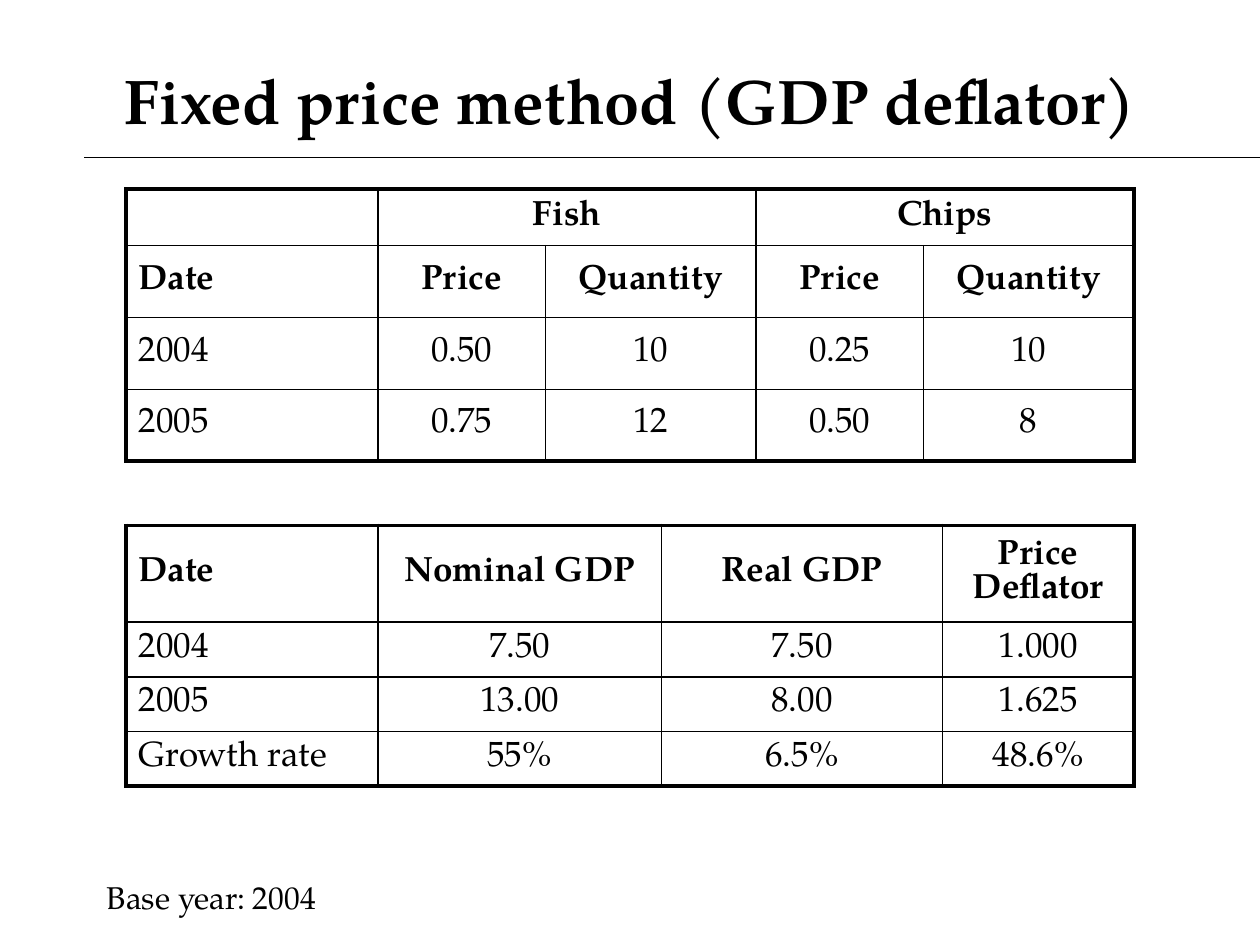
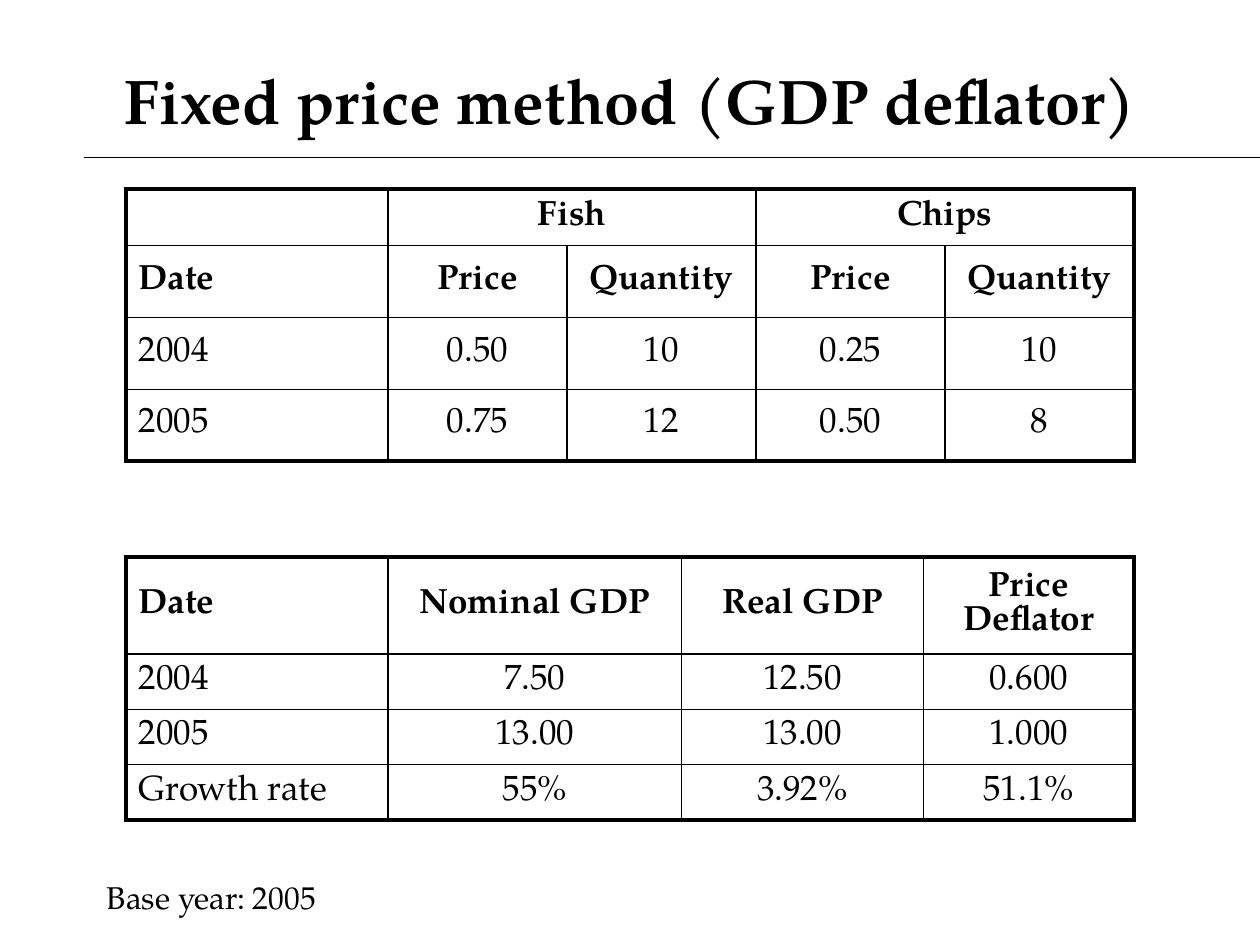
import pptx
import pptx.util
import pptx.dml.color
import pptx.enum.shapes
import pptx.enum.text
import pptx.oxml
import pptx.oxml.ns

Inches = pptx.util.Inches
Pt = pptx.util.Pt
ALIGN = pptx.enum.text.PP_ALIGN
MIDDLE = pptx.enum.text.MSO_ANCHOR.MIDDLE
FONT = "TeX Gyre Pagella"
INK = "000000"
THICK, THIN = 2.25, 1
TITLE = "Fixed price method (GDP deflator)"

GOODS = [
    ["", "Fish", "", "Chips", ""],
    ["Date", "Price", "Quantity", "Price", "Quantity"],
    ["2004", "0.50", "10", "0.25", "10"],
    ["2005", "0.75", "12", "0.50", "8"],
]
HEADS = ["Date", "Nominal GDP", "Real GDP", "Price Deflator"]

YEARS = [
    {
        "base": "Base year: 2004",
        "goods": [2, 1.33, 1.67, 1.33, 1.67],
        "top": 4.17,
        "cols": [2, 2.25, 2.23, 1.52],
        "rows": [0.64] + [0.38] * 3,
        "data": [
            HEADS,
            ["2004", "7.50", "7.50", "1.000"],
            ["2005", "13.00", "8.00", "1.625"],
            ["Growth rate", "55%", "6.5%", "48.6%"],
        ],
    },
    {
        "base": "Base year: 2005",
        "goods": [2.08, 1.42, 1.5, 1.5, 1.5],
        "top": 4.42,
        "cols": [2.08, 2.33, 1.92, 1.67],
        "rows": [0.77] + [0.44] * 3,
        "data": [
            HEADS,
            ["2004", "7.50", "12.50", "0.600"],
            ["2005", "13.00", "13.00", "1.000"],
            ["Growth rate", "55%", "3.92%", "51.1%"],
        ],
    },
]


def color(code):
    return pptx.dml.color.RGBColor.from_string(code)


def write(frame, text, size=20, bold=False, align=ALIGN.LEFT):
    frame.word_wrap = True
    para = frame.paragraphs[0]
    para.alignment = align
    run = para.add_run()
    run.text = text
    run.font.name = FONT
    run.font.size = Pt(size)
    run.font.bold = bold
    run.font.color.rgb = color(INK)


deck = pptx.Presentation()
deck.slide_width = Inches(10)
deck.slide_height = Inches(7.5)

for year in YEARS:
    slide = deck.slides.add_slide(deck.slide_layouts[6])
    shapes = slide.shapes

    rule = shapes.add_connector(
        pptx.enum.shapes.MSO_CONNECTOR.STRAIGHT,
        Inches(0.67), Inches(1.25), Inches(10), Inches(1.25))
    rule.line.color.rgb = color(INK)
    rule.line.width = Pt(0.75)
    rule._element.spPr.append(pptx.oxml.parse_xml(
        f'<a:effectLst {pptx.oxml.ns.nsdecls("a")}/>'))

    title = shapes.add_textbox(Inches(0.5), Inches(0.33), Inches(9), Inches(0.92))
    title.text_frame.vertical_anchor = MIDDLE
    write(title.text_frame, TITLE, size=36, bold=True, align=ALIGN.CENTER)

    tables = [
        (1.5, year["goods"], [0.45] + [0.57] * 3, GOODS, 2),
        (year["top"], year["cols"], year["rows"], year["data"], 1),
    ]
    for top, cols, rows, data, heads in tables:
        grid = shapes.add_table(
            len(rows), len(cols), Inches(1), Inches(top),
            Inches(sum(cols)), Inches(sum(rows))).table
        grid.first_row = False
        grid.horz_banding = False
        for i, width in enumerate(cols):
            grid.columns[i].width = Inches(width)
        for i, height in enumerate(rows):
            grid.rows[i].height = Inches(height)
        if data is GOODS:
            for start in (1, 3):
                grid.cell(0, start).merge(grid.cell(0, start + 1))

        for r, line in enumerate(data):
            for c, text in enumerate(line):
                cell = grid.cell(r, c)
                cell.vertical_anchor = MIDDLE
                if text:
                    write(cell.text_frame, text, bold=r < heads,
                          align=ALIGN.CENTER if c else ALIGN.LEFT)
                edges = {"L": c == 0, "R": c + cell.span_width == len(cols),
                         "T": r == 0, "B": r == len(rows) - 1}
                props = cell._tc.get_or_add_tcPr()
                for side, outer in edges.items():
                    width = Pt(THICK if outer else THIN)
                    props.append(pptx.oxml.parse_xml(
                        f'<a:ln{side} {pptx.oxml.ns.nsdecls("a")} w="{width}">'
                        f'<a:solidFill><a:srgbClr val="{INK}"/></a:solidFill>'
                        f'</a:ln{side}>'))
                cell.fill.background()

    note = shapes.add_textbox(Inches(0.75), Inches(6.92), Inches(5.25), Inches(0.4))
    write(note.text_frame, year["base"], size=18)

deck.save("out.pptx")
